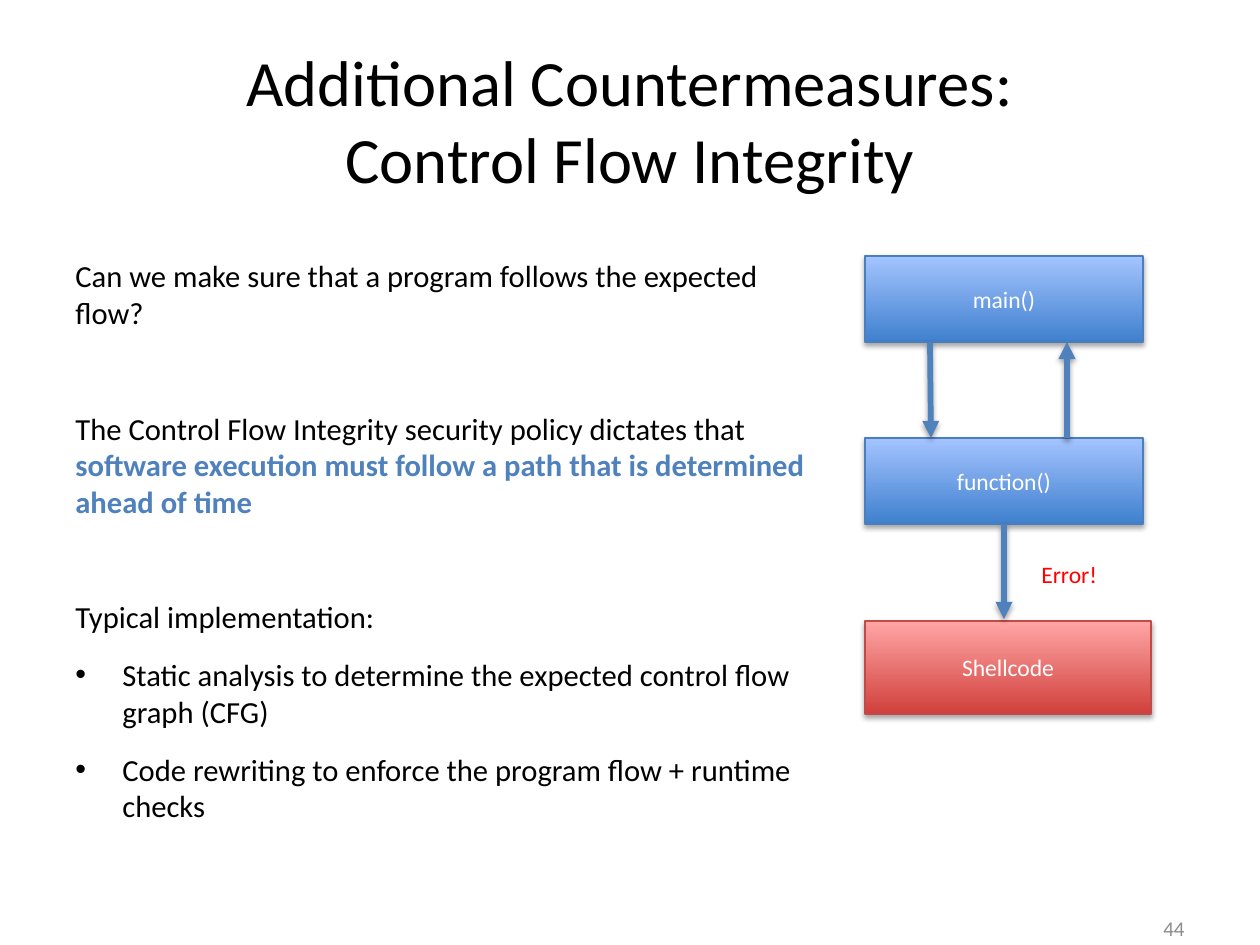
from lxml.etree import SubElement
from pptx import Presentation
from pptx.dml.color import RGBColor
from pptx.enum.shapes import MSO_CONNECTOR, MSO_SHAPE
from pptx.enum.text import MSO_ANCHOR, PP_ALIGN
from pptx.oxml.ns import qn
from pptx.util import Pt

SCALE = 914400 / 126
FONT = "Calibri"
HUES = {
    "ink": "000000", "accent": "4F81BD", "white": "FFFFFF",
    "gray": "8C8C8C", "error": "FF0000", "shade": "000000",
}
BLUE = {"low": "3F80CE", "high": "A4C4FF", "edge": "4B7EBC"}
RED = {"low": "D1403C", "high": "FFA6A5", "edge": "BF4C48"}


def px(*sizes):
    return [round(size * SCALE) for size in sizes]


def color(code):
    return RGBColor.from_string(code)


def add_run(para, text, size, hue="ink", bold=False):
    run = para.add_run()
    run.text = text
    font = run.font
    font.name, font.size, font.bold = FONT, Pt(size), bold
    font.color.rgb = color(HUES[hue])


def add_frame(slide, box, anchor=MSO_ANCHOR.TOP):
    frame = slide.shapes.add_textbox(*px(*box)).text_frame
    frame.word_wrap = True
    frame.vertical_anchor = anchor
    return frame


def add_label(slide, box, text, size, hue, align, anchor):
    para = add_frame(slide, box, anchor).paragraphs[0]
    para.alignment = align
    add_run(para, text, size, hue)


def add_shadow(shape, drop, alpha):
    group = SubElement(shape.element.spPr, qn("a:effectLst"))
    outer = SubElement(group, qn("a:outerShdw"), blurRad="40000", dist=str(drop),
                       dir="5400000", rotWithShape="0")
    tint = SubElement(outer, qn("a:srgbClr"), val=HUES["shade"])
    SubElement(tint, qn("a:alpha"), val=str(alpha * 1000))


def add_title(slide, box):
    para = add_frame(slide, box, MSO_ANCHOR.MIDDLE).paragraphs[0]
    para.alignment = PP_ALIGN.CENTER
    add_run(para, "Additional Countermeasures:", 36.9)
    para.add_line_break()
    add_run(para, "Control Flow Integrity", 36.9)


def add_bullet(para):
    props = para._p.get_or_add_pPr()
    indent = px(47)[0]
    props.set("marL", str(indent))
    props.set("indent", str(-indent))
    SubElement(props, qn("a:buFont"), typeface="Arial")
    SubElement(props, qn("a:buChar"), char="•")


def add_body(slide, box):
    frame = add_frame(slide, box)
    size, near, far = 17.5, 12, 45
    rows = [
        (0, False, [("Can we make sure that a program follows the expected flow?", "ink", False)]),
        (far, False, [
            ("The Control Flow Integrity security policy dictates that ", "ink", False),
            ("software execution must follow a path that is determined ahead of time",
             "accent", True),
        ]),
        (far, False, [("Typical implementation:", "ink", False)]),
        (near, True, [("Static analysis to determine the expected control flow graph (CFG)",
                       "ink", False)]),
        (near, True, [("Code rewriting to enforce the program flow + runtime checks",
                       "ink", False)]),
    ]
    for place, (gap, mark, runs) in enumerate(rows):
        para = frame.add_paragraph() if place else frame.paragraphs[0]
        if gap:
            para.space_before = Pt(gap)
        if mark:
            add_bullet(para)
        for text, hue, bold in runs:
            add_run(para, text, size, hue, bold)


def add_block(slide, box, text, skin):
    block = slide.shapes.add_shape(MSO_SHAPE.RECTANGLE, *px(*box))
    block.fill.gradient()
    block.fill.gradient_angle = 90
    for stop, part, spot in zip(block.fill.gradient_stops, ("low", "high"), (0, 1)):
        stop.color.rgb = color(skin[part])
        stop.position = spot
    block.line.color.rgb = color(skin["edge"])
    block.line.width = Pt(0.75)
    add_shadow(block, 23000, 35)
    frame = block.text_frame
    frame.vertical_anchor = MSO_ANCHOR.MIDDLE
    para = frame.paragraphs[0]
    para.alignment = PP_ALIGN.CENTER
    add_run(para, text, 13.5, "white")
    return block


def add_arrow(slide, start, end):
    arrow = slide.shapes.add_connector(MSO_CONNECTOR.STRAIGHT, *px(*start, *end))
    arrow.line.color.rgb = color(HUES["accent"])
    arrow.line.width = Pt(3.25)
    SubElement(arrow.line._ln, qn("a:tailEnd"), type="triangle")
    add_shadow(arrow, 20000, 38)
    return arrow


def add_flow(slide, box):
    left, top, width, _ = box
    wide, tall, step = width - 8, 86, 182
    call, error = top + step, top + 2 * step + 1
    add_block(slide, (left, top, wide, tall), "main()", BLUE)
    func = add_block(slide, (left, call, wide, tall), "function()", BLUE)
    add_arrow(slide, (left + 65, top + tall), (left + 66, call))
    add_arrow(slide, (left + 202, call), (left + 202, top + tall))
    add_block(slide, (left, error, width, 93), "Shellcode", RED)
    mid = left + wide // 2
    jump = add_arrow(slide, (mid, call + tall), (mid, error - 2))
    jump.begin_connect(func, 2)
    add_label(slide, (left + 164, top + 298, 176, 42), "Error!", 13.5, "error",
              PP_ALIGN.LEFT, MSO_ANCHOR.TOP)


def main():
    deck = Presentation()
    deck.slide_width, deck.slide_height = px(1260, 945)
    slide = deck.slides.add_slide(deck.slide_layouts[6])
    add_title(slide, (63, 34, 1134, 170))
    add_body(slide, (63, 251, 762, 536))
    add_label(slide, (1091, 903, 106, 50), "44", 12, "gray",
              PP_ALIGN.RIGHT, MSO_ANCHOR.MIDDLE)
    add_flow(slide, (865, 256, 286, 458))
    deck.save("out.pptx")


if __name__ == "__main__":
    main()
